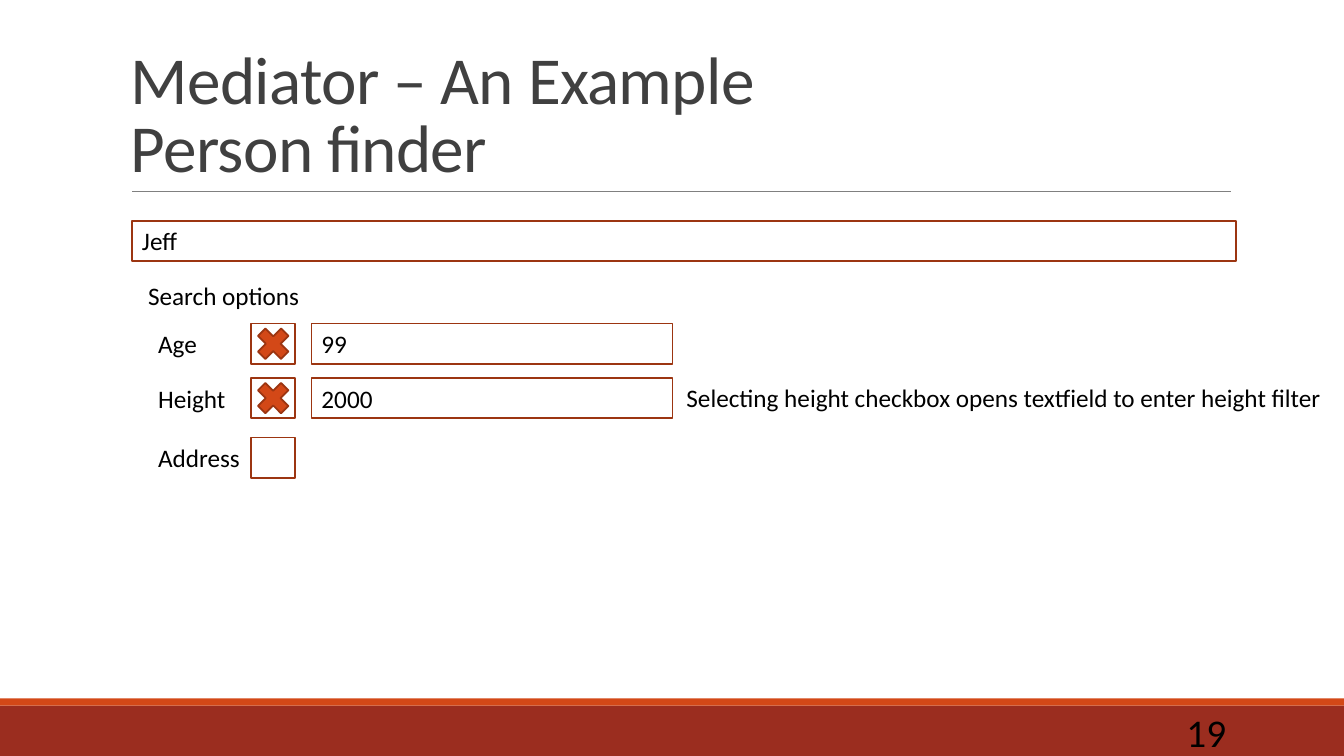
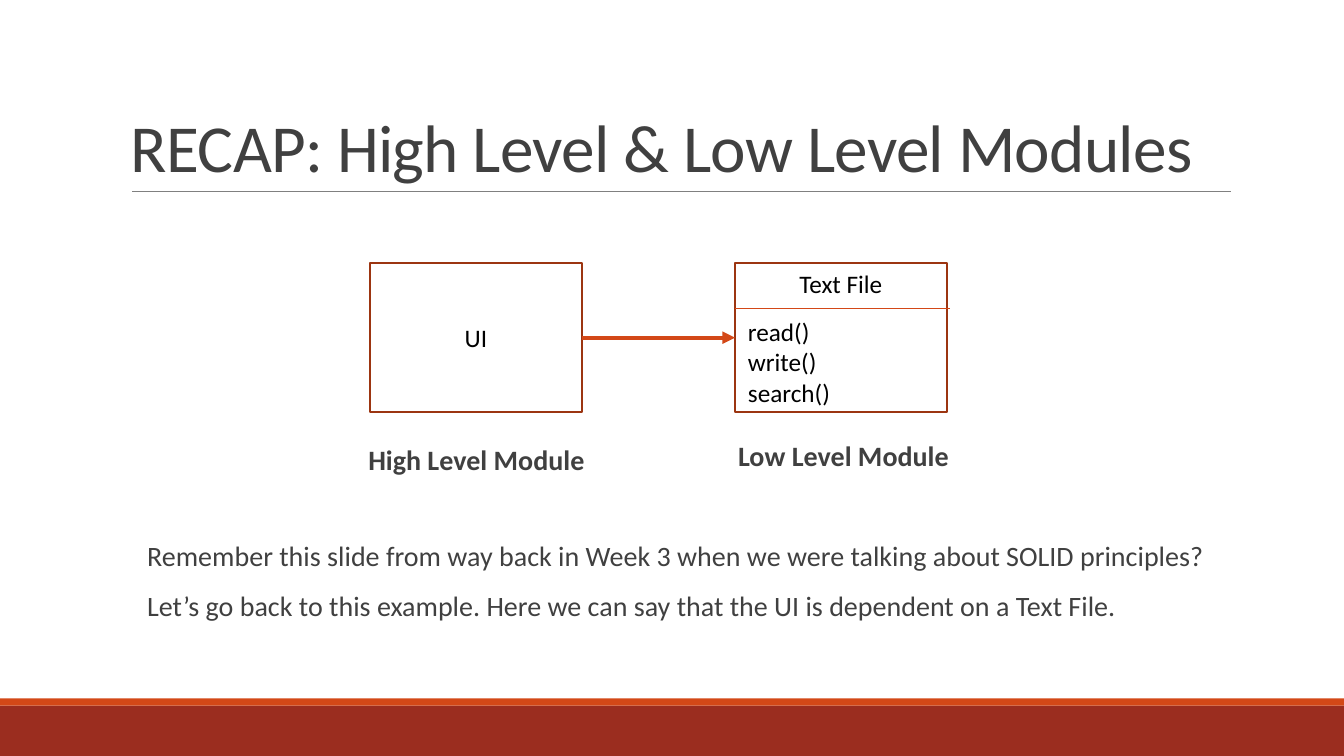
from dataclasses import dataclass

from lxml import etree
from pptx import Presentation
from pptx.dml.color import RGBColor
from pptx.enum.shapes import MSO_CONNECTOR, MSO_SHAPE
from pptx.enum.text import MSO_ANCHOR, PP_ALIGN
from pptx.oxml.ns import qn
from pptx.util import Pt

RECTANGLE, CROSS = MSO_SHAPE.RECTANGLE, MSO_SHAPE.MATH_MULTIPLY
STRAIGHT = MSO_CONNECTOR.STRAIGHT
TOP, MIDDLE, BOTTOM = MSO_ANCHOR.TOP, MSO_ANCHOR.MIDDLE, MSO_ANCHOR.BOTTOM
LEFT, CENTER, RIGHT = PP_ALIGN.LEFT, PP_ALIGN.CENTER, PP_ALIGN.RIGHT
PX = 9144  # 100 px to the inch


@dataclass(frozen=True)
class Theme:
    font: str = "Calibri"
    black: RGBColor = RGBColor(0x00, 0x00, 0x00)
    gray_text: RGBColor = RGBColor(0x40, 0x40, 0x40)
    rule: RGBColor = RGBColor(0x80, 0x80, 0x80)
    accent: RGBColor = RGBColor(0xD3, 0x48, 0x17)
    outline: RGBColor = RGBColor(0x9C, 0x35, 0x11)
    footer: RGBColor = RGBColor(0x9B, 0x2D, 0x1F)
    title_size: int = 48
    number_size: int = 28
    body_size: int = 20
    label_size: int = 18


THEME = Theme()


def add_box(slide, bounds, texts=(), fill=None, line=None, kind=RECTANGLE,
            size=THEME.label_size, color=THEME.black, bold=False,
            align=LEFT, anchor=TOP, margin=10, spacing=1.0):
    """Add a preset shape, or a text box when there is no fill and no line."""
    bounds = [length * PX for length in bounds]
    if fill is None and line is None:
        shape = slide.shapes.add_textbox(*bounds)
    else:
        shape = slide.shapes.add_shape(kind, *bounds)
        shape.shadow.inherit = False
        if fill is None:
            shape.fill.background()
        else:
            shape.fill.solid()
            shape.fill.fore_color.rgb = fill
        if line is None:
            shape.line.fill.background()
        else:
            shape.line.color.rgb = line
            shape.line.width = Pt(1.25)
    frame = shape.text_frame
    frame.word_wrap = True
    frame.vertical_anchor = anchor
    frame.margin_left = frame.margin_right = margin * PX
    for index, text in enumerate(texts):
        paragraph = frame.add_paragraph() if index else frame.paragraphs[0]
        paragraph.text = text
        paragraph.alignment = align
        paragraph.line_spacing = spacing
        font = paragraph.font
        font.name, font.size, font.bold = THEME.font, Pt(size), bold
        font.color.rgb = color
    return shape


def add_line(slide, start, end, color, width, arrow=False):
    connector = slide.shapes.add_connector(
        STRAIGHT, *[length * PX for length in (*start, *end)])
    connector.line.color.rgb = color
    connector.line.width = Pt(width)
    if arrow:
        etree.SubElement(connector.line._get_or_add_ln(), qn("a:tailEnd"), type="triangle")
    etree.SubElement(connector._element.spPr, qn("a:effectLst"))


presentation = Presentation()
presentation.slide_width = 1333 * PX
presentation.slide_height = 750 * PX
blank_layout = presentation.slide_layouts[6]

# Shared frame: footer bands, title and title rule
titles = ["Mediator – An Example\nPerson finder", "RECAP: High Level & Low Level Modules"]
for title in titles:
    slide = presentation.slides.add_slide(blank_layout)
    add_box(slide, (0, 700, 1333, 50), fill=THEME.footer)
    add_box(slide, (0, 693, 1333, 7), fill=THEME.accent)
    add_line(slide, (131, 190), (1221, 190), THEME.rule, 0.5)
    title_box = add_box(slide, (120, 31, 1100, 159), [title], size=THEME.title_size,
                        color=THEME.gray_text, anchor=BOTTOM, spacing=0.85)
    title_font = title_box.text_frame.paragraphs[0]._p.pPr.find(qn("a:defRPr"))
    title_font.set("spc", "-50")
finder_slide, recap_slide = presentation.slides

# Person finder form
add_box(finder_slide, (1083, 706, 143, 40), ["19"], size=THEME.number_size,
        align=RIGHT, anchor=MIDDLE)
add_box(finder_slide, (131, 219, 1095, 40), ["Jeff"], line=THEME.outline, anchor=MIDDLE)
add_box(finder_slide, (137, 273, 200, 40), ["Search options"])
for label, top, value in [("Age", 321, "99"), ("Height", 375, "2000"), ("Address", 434, None)]:
    add_box(finder_slide, (147, top, 110, 40), [label])
    add_box(finder_slide, (249, top, 44, 40), line=THEME.outline)
    if value:
        add_box(finder_slide, (249, top - 2, 44, 44), fill=THEME.accent,
                line=THEME.outline, kind=CROSS)
        add_box(finder_slide, (309, top, 358, 40), [value], line=THEME.outline, anchor=MIDDLE)
add_box(finder_slide, (671, 374, 662, 40),
        ["Selecting height checkbox opens textfield to enter height filter"])

# Module diagram
module_top, module_width, module_height = 261, 210, 148
ui_left, file_left = 367, 729
arrow_y = module_top + module_height // 2
for left, texts in [(ui_left, ["UI"]), (file_left, [])]:
    add_box(recap_slide, (left, module_top, module_width, module_height), texts,
            fill=RGBColor(0xFF, 0xFF, 0xFF), line=THEME.outline, align=CENTER, anchor=MIDDLE)
add_line(recap_slide, (ui_left + module_width, arrow_y), (file_left, arrow_y),
         THEME.accent, 3, arrow=True)
add_line(recap_slide, (file_left, 306), (942, 306), THEME.accent, 1)
add_box(recap_slide, (file_left, module_top, module_width, 40), ["Text File"], align=CENTER)
add_box(recap_slide, (732, 309, module_width, 101), ["read()", "write()", "search()"])
for left, top, caption in [(355, 438, "High Level Module"), (719, 434, "Low Level Module")]:
    add_box(recap_slide, (left, top, 235, 66), [caption], size=THEME.body_size,
            color=THEME.gray_text, bold=True, align=CENTER, margin=0, spacing=0.9)

remarks = add_box(
    recap_slide, (146, 533, 1086, 143),
    ["Remember this slide from way back in Week 3 when we were talking about SOLID principles?",
     "Let’s go back to this example. Here we can say that the UI is dependent on a Text File."],
    size=THEME.body_size, color=THEME.gray_text, margin=0, spacing=0.9)
remarks.text_frame.paragraphs[1].space_before = Pt(14)

presentation.save("out.pptx")
